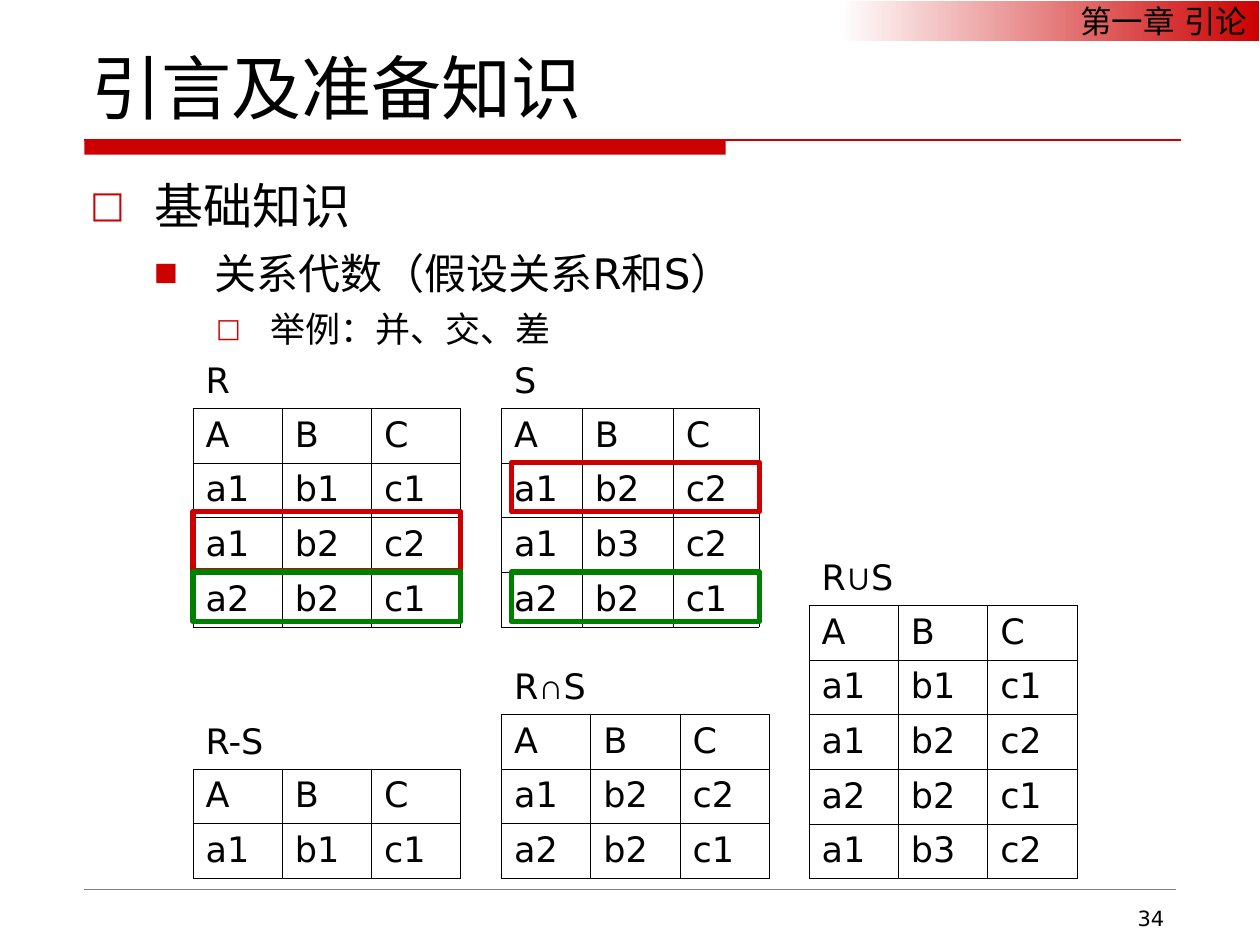
from dataclasses import dataclass
from typing import Optional

import pptx
import pptx.dml.color
import pptx.enum.shapes
import pptx.enum.text
import pptx.oxml
import pptx.oxml.ns
import pptx.util
from lxml import etree

Cm = pptx.util.Cm
Pt = pptx.util.Pt
qn = pptx.oxml.ns.qn
RGB = pptx.dml.color.RGBColor
Anchor = pptx.enum.text.MSO_ANCHOR
Align = pptx.enum.text.PP_ALIGN
RECTANGLE = pptx.enum.shapes.MSO_SHAPE.RECTANGLE


@dataclass(frozen=True)
class Theme:
    red: str = "CC0000"
    green: str = "008000"
    grey: str = "808080"
    black: str = "000000"
    white: str = "FFFFFF"
    font: str = "DejaVu Sans"
    title_font: str = "Noto Sans CJK SC"
    symbol_font: str = "Arial"
    title_size: int = 40
    level_sizes: tuple = (28, 24, 20)
    header_size: int = 18
    table_size: int = 20
    number_size: int = 12
    border: float = 0.45


THEME = Theme()


@dataclass(frozen=True)
class Box:
    left: float
    top: float
    width: float
    height: float

    def lengths(self) -> tuple:
        return Cm(self.left), Cm(self.top), Cm(self.width), Cm(self.height)


@dataclass(frozen=True)
class Bullet:
    text: str
    symbol: str
    percent: int
    margin: float
    hanging: float


@dataclass(frozen=True)
class Relation:
    """A titled relation, placed by its left and bottom edges."""
    title: str
    left: float
    bottom: float
    rows: tuple
    title_span: int = 1
    title_height: float = 1.1
    columns: tuple = (1.8, 1.8, 1.8)


@dataclass(frozen=True)
class Highlight:
    box: Box
    color: str


ROW_HEIGHT = 1.1
HEADING = "A B C"
LEFT, MIDDLE, RIGHT = 3.89, 10.11, 16.31
UPPER, LOWER = 12.63, 17.7
RELATIONS = (
    Relation("R", LEFT, UPPER, ("a1 b1 c1", "a1 b2 c2", "a2 b2 c1")),
    Relation("S", MIDDLE, UPPER, ("a1 b2 c2", "a1 b3 c2", "a2 b2 c1"),
             title_height=1.2, columns=(1.63, 1.83, 1.73)),
    Relation("R∪S", RIGHT, LOWER, ("a1 b1 c1", "a1 b2 c2", "a2 b2 c1", "a1 b3 c2"), 2),
    Relation("R∩S", MIDDLE, LOWER, ("a1 b2 c2", "a2 b2 c1"), 3),
    Relation("R-S", LEFT, LOWER, ("a1 b1 c1",), 3),
)
HIGHLIGHTS = (
    Highlight(Box(LEFT, 10.31, 5.4, 1.2), THEME.red),
    Highlight(Box(LEFT, 11.53, 5.4, 1), THEME.green),
    Highlight(Box(10.31, 9.32, 5, 1), THEME.red),
    Highlight(Box(10.31, 11.53, 5, 1), THEME.green),
)
BULLETS = (
    Bullet("基础知识", "□", 75, 1.3, 1.3),
    Bullet("关系代数（假设关系R和S）", "■", 60, 2.51, 1.22),
    Bullet("举例：并、交、差", "□", 75, 3.63, 1.09),
)


def rgb(color: str) -> RGB:
    return RGB.from_string(color)


def style(paragraph, size: float, font: str = THEME.font) -> None:
    paragraph.font.size = Pt(size)
    paragraph.font.color.rgb = rgb(THEME.black)
    paragraph.font.name = font
    defaults = paragraph._p.pPr.find(qn("a:defRPr"))
    etree.SubElement(defaults, qn("a:ea"), typeface=font)


def add_text(slide, box: Box, text: str, size: float, font: str = THEME.font,
             align=Align.LEFT, anchor=Anchor.TOP) -> None:
    frame = slide.shapes.add_textbox(*box.lengths()).text_frame
    frame.word_wrap = True
    frame.vertical_anchor = anchor
    paragraph = frame.paragraphs[0]
    paragraph.text = text
    paragraph.alignment = align
    style(paragraph, size, font)


def add_line(slide, left: float, right: float, y: float, color: str, width: float) -> None:
    line = slide.shapes.add_connector(
        pptx.enum.shapes.MSO_CONNECTOR.STRAIGHT, Cm(left), Cm(y), Cm(right), Cm(y))
    line.line.color.rgb = rgb(color)
    line.line.width = Pt(width)
    etree.SubElement(line._element.spPr, qn("a:effectLst"))


def add_rectangle(slide, box: Box, line: Optional[str], width: float = 0.75):
    shape = slide.shapes.add_shape(RECTANGLE, *box.lengths())
    shape.shadow.inherit = False
    shape.fill.background()
    if line is None:
        shape.line.fill.background()
    else:
        shape.line.color.rgb = rgb(line)
        shape.line.width = Pt(width)
    return shape


def add_chapter_banner(slide) -> None:
    banner = add_rectangle(slide, Box(16.93, 0, 8.47, 0.84), THEME.white)
    banner.fill.gradient()
    banner.fill.gradient_angle = 0
    for stop, color, position in zip(banner.fill.gradient_stops, (THEME.white, THEME.red), (0, 1)):
        stop.color.rgb = rgb(color)
        stop.position = position
    banner.text_frame.vertical_anchor = Anchor.MIDDLE
    paragraph = banner.text_frame.paragraphs[0]
    paragraph.text = "第一章 引论"
    paragraph.alignment = Align.RIGHT
    style(paragraph, THEME.header_size)


def add_outline(slide, box: Box) -> None:
    frame = slide.shapes.add_textbox(*box.lengths()).text_frame
    frame.word_wrap = True
    for level, bullet in enumerate(BULLETS):
        paragraph = frame.add_paragraph() if level else frame.paragraphs[0]
        paragraph.text = bullet.text
        paragraph.level = level
        paragraph.line_spacing = 1.25
        properties = paragraph._p.get_or_add_pPr()
        properties.set("marL", str(Cm(bullet.margin)))
        properties.set("indent", str(-Cm(bullet.hanging)))
        color = etree.SubElement(properties, qn("a:buClr"))
        etree.SubElement(color, qn("a:srgbClr"), val=THEME.red)
        etree.SubElement(properties, qn("a:buSzPct"), val=str(bullet.percent * 1000))
        etree.SubElement(properties, qn("a:buFont"), typeface=THEME.font)
        etree.SubElement(properties, qn("a:buChar"), char=bullet.symbol)
        style(paragraph, THEME.level_sizes[level])


def set_borders(cell, visible: str) -> None:
    """Draw the sides named in visible (letters of LRTB) and clear the others."""
    properties = cell._tc.get_or_add_tcPr()
    for index, side in enumerate("LRTB"):
        line = etree.Element(qn(f"a:ln{side}"), w=str(Pt(THEME.border)))
        if side in visible:
            fill = etree.SubElement(line, qn("a:solidFill"))
            etree.SubElement(fill, qn("a:srgbClr"), val=THEME.black)
        else:
            etree.SubElement(line, qn("a:noFill"))
        properties.insert(index, line)


def add_relation(slide, relation: Relation) -> None:
    rows = [(relation.title, "", ""), HEADING.split(), *(row.split() for row in relation.rows)]
    heights = [relation.title_height] + [ROW_HEIGHT] * (len(rows) - 1)
    box = Box(relation.left, relation.bottom - sum(heights), sum(relation.columns), sum(heights))
    table = slide.shapes.add_table(len(rows), len(relation.columns), *box.lengths()).table
    table.first_row = table.horz_banding = False
    for column, width in zip(table.columns, relation.columns):
        column.width = Cm(width)
    for row_index, values in enumerate(rows):
        table.rows[row_index].height = Cm(heights[row_index])
        for column_index, value in enumerate(values):
            cell = table.cell(row_index, column_index)
            cell.fill.background()
            cell.vertical_anchor = Anchor.TOP if row_index else Anchor.BOTTOM
            set_borders(cell, "LRTB" if row_index else "B")
            paragraph = cell.text_frame.paragraphs[0]
            style(paragraph, THEME.table_size)
            for part in [value] if row_index else value:
                run = paragraph.add_run()
                run.text = part
                if part in ("∪", "∩"):
                    run.font.name = THEME.symbol_font
    if relation.title_span > 1:
        table.cell(0, 0).merge(table.cell(0, relation.title_span - 1))


def main() -> None:
    presentation = pptx.Presentation()
    presentation.slide_width, presentation.slide_height = Cm(25.4), Cm(19.05)
    slide = presentation.slides.add_slide(presentation.slide_layouts[6])

    title_bar = add_rectangle(slide, Box(1.7, 2.82, 12.93, 0.3), None)
    title_bar.fill.solid()
    title_bar.fill.fore_color.rgb = rgb(THEME.red)
    add_line(slide, 1.7, 23.8, 2.82, THEME.red, 0.75)
    add_line(slide, 1.7, 23.7, 17.93, THEME.grey, 0.25)
    add_chapter_banner(slide)
    add_text(slide, Box(1.6, 0.84, 22.23, 1.88), "引言及准备知识",
             THEME.title_size, THEME.title_font, anchor=Anchor.BOTTOM)
    add_outline(slide, Box(1.57, 3.12, 19.35, 14.6))
    add_text(slide, Box(18.21, 18.14, 5.51, 0.71), "34", THEME.number_size, align=Align.RIGHT)
    for relation in RELATIONS:
        add_relation(slide, relation)
    for highlight in HIGHLIGHTS:
        add_rectangle(slide, highlight.box, highlight.color, 3)
    presentation.save("out.pptx")


if __name__ == "__main__":
    main()
